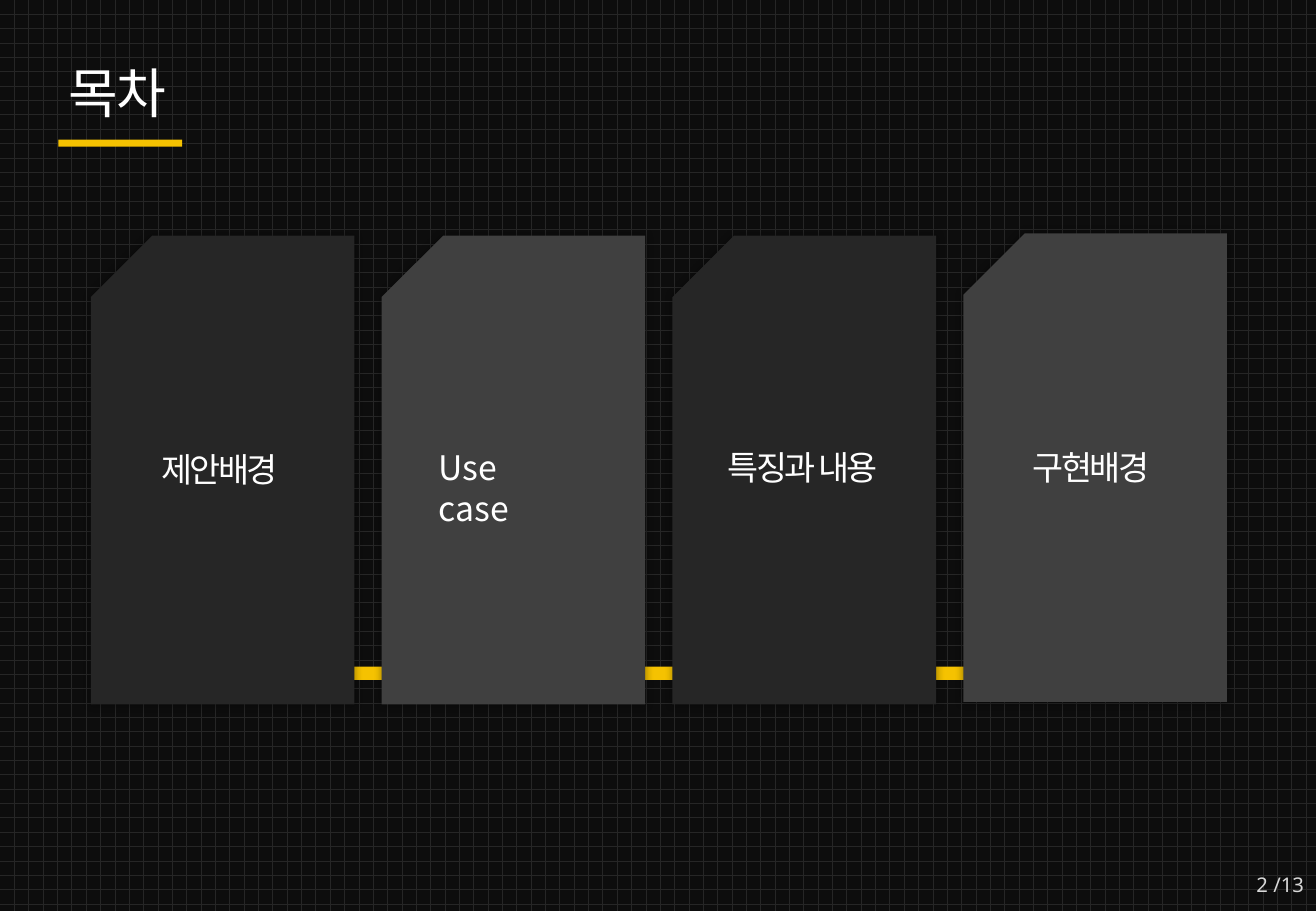
from dataclasses import dataclass

from lxml.etree import SubElement
from pptx import Presentation
from pptx.dml.color import RGBColor
from pptx.enum.dml import MSO_PATTERN
from pptx.enum.shapes import MSO_SHAPE
from pptx.enum.text import MSO_ANCHOR, MSO_AUTO_SIZE, PP_ALIGN
from pptx.oxml.ns import qn
from pptx.shapes.autoshape import Shape
from pptx.slide import Slide
from pptx.util import Cm, Pt

KOREAN_FONT = "Noto Sans CJK KR"
YELLOW = "F5C201"
WHITE = "FFFFFF"
CARD_LEFT, CARD_PITCH = 1.9, 6.08
CARD_WIDTH, CARD_HEIGHT = 5.51, 9.8


@dataclass(frozen=True)
class Area:
    left: float
    top: float
    width: float
    height: float

    def lengths(self) -> tuple[Cm, Cm, Cm, Cm]:
        return Cm(self.left), Cm(self.top), Cm(self.width), Cm(self.height)


@dataclass(frozen=True)
class Label:
    text: str
    area: Area
    size: int = 20
    color: str = WHITE
    font: str = KOREAN_FONT
    spacing: float = -1.5
    align: PP_ALIGN = PP_ALIGN.LEFT
    wrap: bool = False


@dataclass(frozen=True)
class Card:
    top: float
    fill: str
    label: Label


CARDS = [
    Card(4.93, "262626", Label("제안배경", Area(3.12, 9.27, 3.0, 1.12))),
    Card(4.93, "404040", Label("Use case", Area(8.92, 9.22, 3.33, 1.12), spacing=0)),
    Card(4.93, "262626", Label("특징과 내용", Area(14.96, 9.22, 3.73, 1.12))),
    Card(4.88, "404040", Label("구현배경", Area(21.34, 9.22, 3.0, 1.12))),
]
TITLE = Label("목차", Area(1.17, 1.12, 2.57, 1.63), size=32, align=PP_ALIGN.CENTER)
PAGE_NUMBER = Label("2 /13", Area(20.45, 17.98, 7.06, 1.02), size=12, color="D9D9D9",
                    font="Noto Sans", spacing=0, align=PP_ALIGN.RIGHT, wrap=True)


def rgb(value: str) -> RGBColor:
    return RGBColor.from_string(value)


def add_block(page: Slide, kind: MSO_SHAPE, area: Area, fill: str) -> Shape:
    shape = page.shapes.add_shape(kind, *area.lengths())
    shape.shadow.inherit = False
    shape.fill.solid()
    shape.fill.fore_color.rgb = rgb(fill)
    shape.line.fill.background()
    return shape


def add_card(page: Slide, card: Card, left: float) -> None:
    area = Area(left, card.top, CARD_WIDTH, CARD_HEIGHT)
    shape = add_block(page, MSO_SHAPE.SNIP_1_RECTANGLE, area, card.fill)
    shape.adjustments[0] = 0.233
    properties = shape._element.spPr
    properties.find(qn("a:xfrm")).set("flipH", "1")
    effects = properties.find(qn("a:effectLst"))
    shadow = SubElement(effects, qn("a:outerShdw"), blurRad=str(Pt(5)), dist="0",
                        dir="0", algn="ctr", rotWithShape="0")
    color = SubElement(shadow, qn("a:srgbClr"), val="000000")
    SubElement(color, qn("a:alpha"), val="40000")


def add_label(page: Slide, label: Label) -> None:
    frame = page.shapes.add_textbox(*label.area.lengths()).text_frame
    frame.word_wrap = label.wrap
    if label.wrap:
        frame.vertical_anchor = MSO_ANCHOR.MIDDLE
    else:
        frame.auto_size = MSO_AUTO_SIZE.SHAPE_TO_FIT_TEXT
    para = frame.paragraphs[0]
    para.alignment = label.align
    span = para.add_run()
    span.text = label.text
    span.font.size = Pt(label.size)
    span.font.color.rgb = rgb(label.color)
    span.font.name = label.font
    properties = span._r.get_or_add_rPr()
    SubElement(properties, qn("a:ea"), typeface=label.font)
    if label.spacing:
        properties.set("spc", str(round(label.spacing * 100)))


def main() -> None:
    deck = Presentation()
    deck.slide_width, deck.slide_height = Cm(27.51), Cm(19.05)
    page = deck.slides.add_slide(deck.slide_layouts[6])
    backdrop = page.background.fill
    backdrop.patterned()
    backdrop.pattern = MSO_PATTERN.HORIZONTAL_BRICK
    backdrop.fore_color.rgb = rgb("262626")
    backdrop.back_color.rgb = rgb("0D0D0D")

    add_label(page, TITLE)
    add_block(page, MSO_SHAPE.RECTANGLE, Area(1.22, 2.92, 2.59, 0.15), YELLOW)
    add_block(page, MSO_SHAPE.RECTANGLE, Area(3.35, 13.94, 20.42, 0.28), YELLOW)
    for index, card in enumerate(CARDS):
        add_card(page, card, CARD_LEFT + index * CARD_PITCH)
        add_label(page, card.label)
    add_label(page, PAGE_NUMBER)
    deck.save("out.pptx")


if __name__ == "__main__":
    main()
